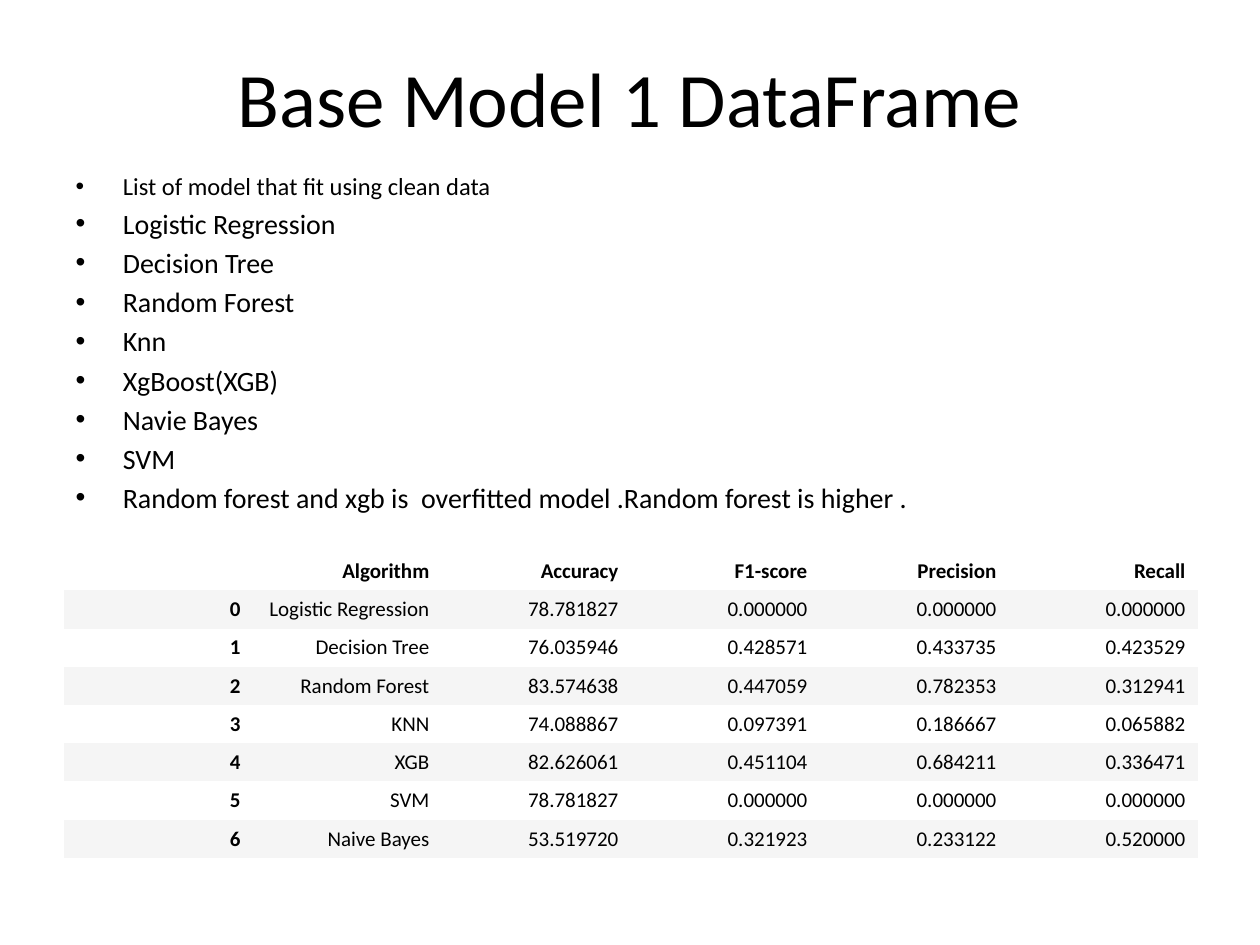
from dataclasses import dataclass

from lxml import etree
from pptx import Presentation
from pptx import util as u
from pptx.dml.color import RGBColor
from pptx.enum import text
from pptx.oxml.ns import qn

PX_PER_INCH = 126
NO_STYLE_NO_GRID = "{2D5ABB26-0587-4C30-8999-92F81FD0307C}"


@dataclass(frozen=True)
class Theme:
    font: str = "Calibri"
    ink: str = "000000"
    paper: str = "FFFFFF"
    band: str = "F5F5F5"
    title_size: int = 44
    intro_size: int = 14
    list_size: int = 16
    table_size: int = 12


THEME = Theme()

TITLE = "Base Model 1 DataFrame"
MODEL_NOTES = [
    "List of model that fit using clean data",
    "Logistic Regression",
    "Decision Tree",
    "Random Forest",
    "Knn",
    "XgBoost(XGB)",
    "Navie Bayes",
    "SVM",
    "Random forest and xgb is  overfitted model .Random forest is higher .",
]
SCORES = [
    ["", "Algorithm", "Accuracy", "F1-score", "Precision", "Recall"],
    ["0", "Logistic Regression", "78.781827", "0.000000", "0.000000", "0.000000"],
    ["1", "Decision Tree", "76.035946", "0.428571", "0.433735", "0.423529"],
    ["2", "Random Forest", "83.574638", "0.447059", "0.782353", "0.312941"],
    ["3", "KNN", "74.088867", "0.097391", "0.186667", "0.065882"],
    ["4", "XGB", "82.626061", "0.451104", "0.684211", "0.336471"],
    ["5", "SVM", "78.781827", "0.000000", "0.000000", "0.000000"],
    ["6", "Naive Bayes", "53.519720", "0.321923", "0.233122", "0.520000"],
]


def px(length):
    return u.Emu(round(length * 914400 / PX_PER_INCH))


def place(shape, left, top, width, height):
    shape.left, shape.top = px(left), px(top)
    shape.width, shape.height = px(width), px(height)


def format_spans(para, size, bold=False):
    for span in para.runs:
        span.font.name = THEME.font
        span.font.size = u.Pt(size)
        span.font.bold = bold
        span.font.color.rgb = RGBColor.from_string(THEME.ink)


def fill_title(box, words):
    place(box, 63, 38, 1134, 117)
    box.text_frame.text = words
    box.text_frame.vertical_anchor = text.MSO_ANCHOR.MIDDLE
    para = box.text_frame.paragraphs[0]
    para.alignment = text.PP_ALIGN.CENTER
    format_spans(para, THEME.title_size)


def fill_list(box, items):
    """Fill the body with bullets; the first item is an intro in smaller type."""
    place(box, 63, 165, 1134, 679)
    box.text_frame.text = "\n".join(items)
    for index, para in enumerate(box.text_frame.paragraphs):
        format_spans(para, THEME.list_size if index else THEME.intro_size)


def fill_cell(cell, words, fill, bold):
    cell.fill.solid()
    cell.fill.fore_color.rgb = RGBColor.from_string(fill)
    cell.vertical_anchor = text.MSO_ANCHOR.MIDDLE
    cell.text_frame.text = words
    para = cell.text_frame.paragraphs[0]
    para.alignment = text.PP_ALIGN.RIGHT
    format_spans(para, THEME.table_size, bold)
    if not words:  # keeps the empty cell from stretching its row
        etree.SubElement(para._p, qn("a:endParaRPr"), sz=str(THEME.table_size * 100))


def add_score_table(page, rows):
    """Add a table with bold headers in the first row and column."""
    frame = page.shapes.add_table(
        len(rows), len(rows[0]), px(64), px(552), px(1134), px(38 * len(rows)))
    table = frame.table
    table.first_row = table.horz_banding = False
    table._tbl.tblPr.find(qn("a:tableStyleId")).text = NO_STYLE_NO_GRID
    for r, row in enumerate(rows):
        fill = THEME.band if r % 2 else THEME.paper
        for c, words in enumerate(row):
            fill_cell(table.cell(r, c), words, fill, bold=r == 0 or c == 0)


def main():
    deck = Presentation()
    deck.slide_width, deck.slide_height = px(1260), px(945)
    page = deck.slides.add_slide(deck.slide_layouts.get_by_name("Title and Content"))
    fill_title(page.shapes.title, TITLE)
    fill_list(page.placeholders[1], MODEL_NOTES)
    add_score_table(page, SCORES)
    deck.save("out.pptx")


if __name__ == "__main__":
    main()
